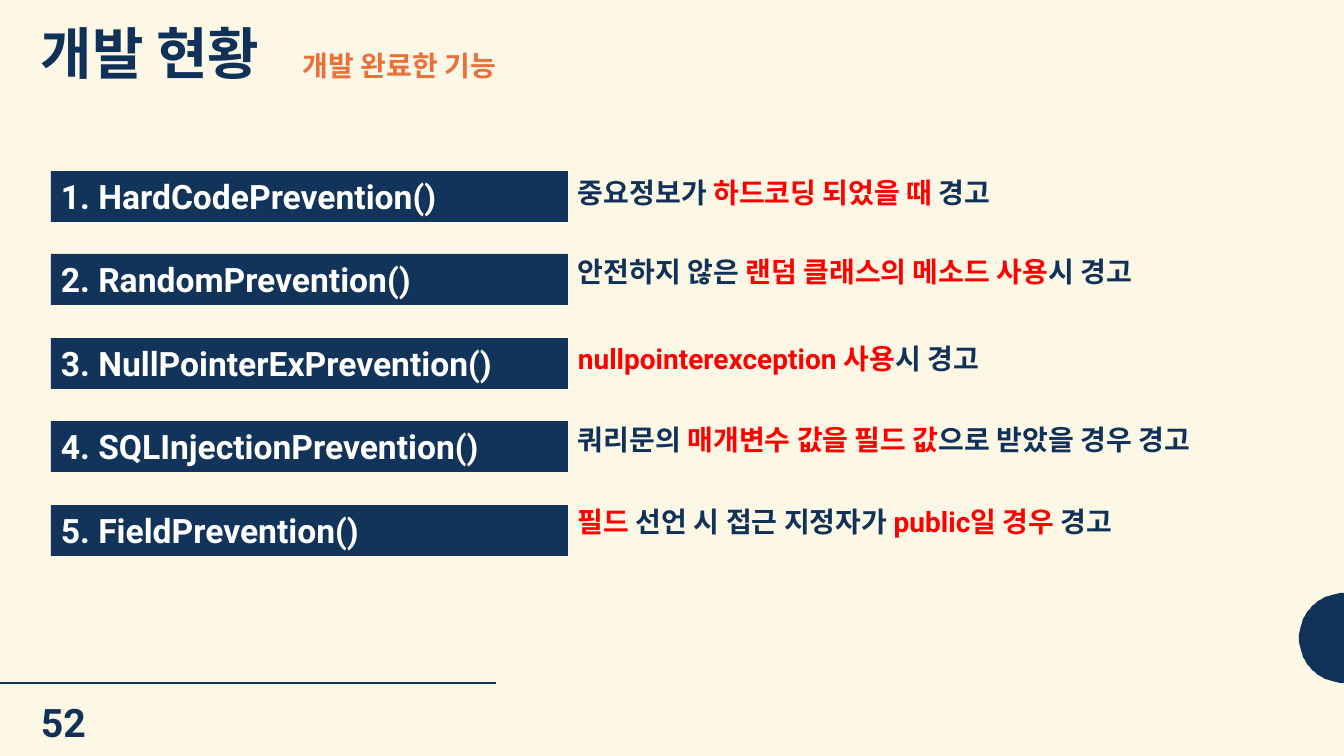
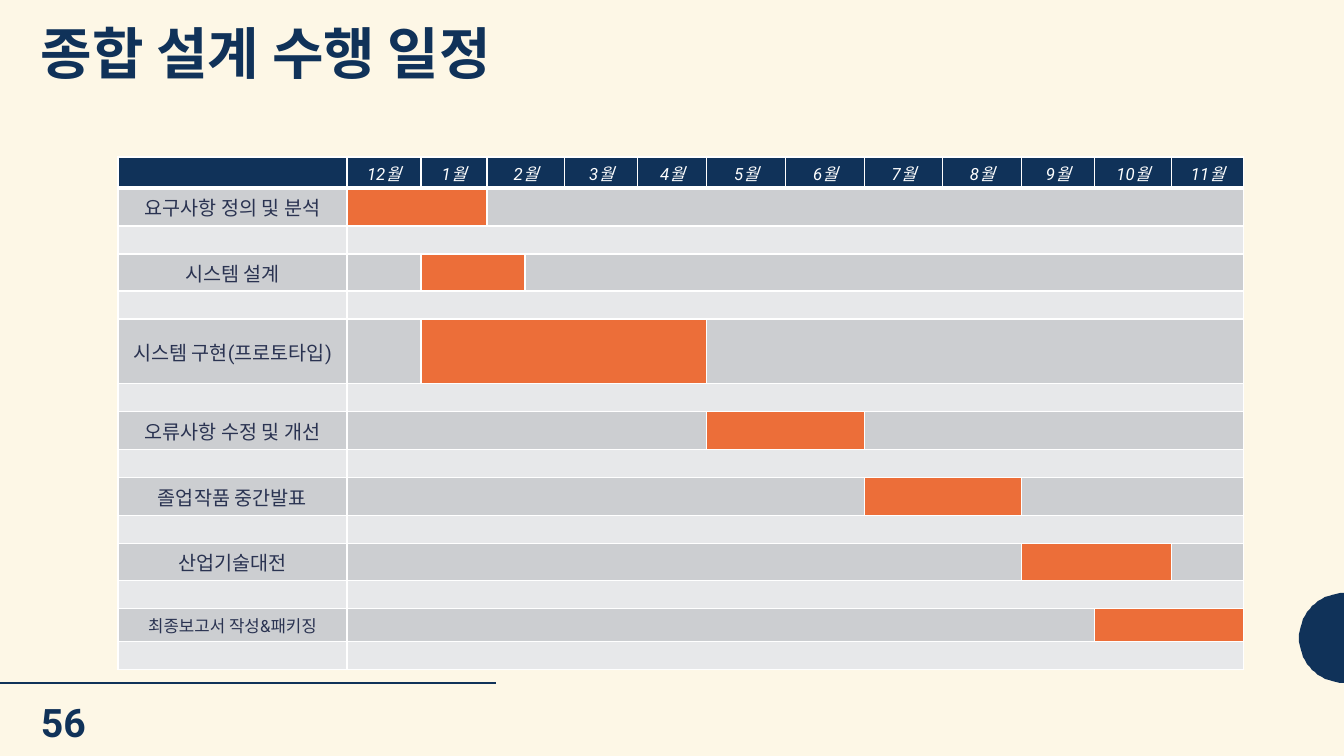
import math
from lxml import etree
from pptx import Presentation
from pptx.dml.color import RGBColor
from pptx.enum.shapes import MSO_CONNECTOR, MSO_SHAPE
from pptx.enum.text import MSO_ANCHOR, PP_ALIGN
from pptx.oxml.ns import qn
from pptx.util import Pt

PX = 9071
STRAIGHT = MSO_CONNECTOR.STRAIGHT
RECTANGLE = MSO_SHAPE.RECTANGLE
TOP, MIDDLE = MSO_ANCHOR.TOP, MSO_ANCHOR.MIDDLE
LEFT, CENTER = PP_ALIGN.LEFT, PP_ALIGN.CENTER
FONT = "Roboto"
CREAM, NAVY, BAR_NAVY, ORANGE = "FDF7E6", "103259", "12345A", "EC6E39"
RED, WHITE, INK = "FF0000", "FFFFFF", "2A3351"
ROW_GRAY, GAP_GRAY = "CCCED1", "E7E8EA"


def paint(fill, color):
    fill.solid()
    fill.fore_color.rgb = RGBColor.from_string(color)


def write(frame, text, size, color=NAVY, bold=True, italic=False,
          align=LEFT, spacing=None, wrap=True):
    frame.word_wrap = wrap
    para = frame.paragraphs[0]
    para.alignment = align
    para.line_spacing = spacing
    for index, part in enumerate(text.split("|")):
        if part:
            span = para.add_run()
            span.text = part
            span.font.name = FONT
            span.font.size = Pt(size)
            span.font.bold = bold
            span.font.italic = italic
            paint(span.font.fill, RED if index % 2 else color)


deck = Presentation()
deck.slide_width, deck.slide_height = 1344 * PX, 756 * PX
paint(deck.slide_master.background.fill, CREAM)

pages = []
for title, number in [("개발 현황", "52"), ("종합 설계 수행 일정", "56")]:
    page = deck.slides.add_slide(deck.slide_layouts[6])
    pages.append(page)

    arc = [(1344 - round(45 * math.sin(math.radians(angle)), 2),
            638 - round(45 * math.cos(math.radians(angle)), 2))
           for angle in range(0, 181, 5)]
    builder = page.shapes.build_freeform(*arc[0], scale=PX)
    builder.add_line_segments(arc[1:], close=True)
    half_disc = builder.convert_to_shape()
    half_disc.shadow.inherit = False
    half_disc.line.fill.background()
    paint(half_disc.fill, NAVY)

    rule = page.shapes.add_connector(STRAIGHT, 0, 683 * PX, 496 * PX, 683 * PX)
    rule.line.width = Pt(2)
    paint(rule.line.fill, NAVY)
    etree.SubElement(rule._element.spPr, qn("a:effectLst"))

    box = page.shapes.add_textbox(31 * PX, 693 * PX, 87 * PX, 57 * PX)
    write(box.text_frame, number, 28)
    box = page.shapes.add_textbox(31 * PX, 21 * PX, 640 * PX, 80 * PX)
    write(box.text_frame, title, 40, spacing=0.9)

status_page, schedule_page = pages

box = status_page.shapes.add_textbox(293 * PX, 44 * PX, 688 * PX, 59 * PX)
write(box.text_frame, "개발 완료한 기능", 20, ORANGE)

features = [
    ("HardCodePrevention()", 171, "중요정보가 |하드코딩 되었을 때| 경고"),
    ("RandomPrevention()", 250, "안전하지 않은 |랜덤 클래스의 메소드 사용|시 경고"),
    ("NullPointerExPrevention()", 337, "|nullpointerexception 사용|시 경고"),
    ("SQLInjectionPrevention()", 418, "쿼리문의 |매개변수 값을 필드 값|으로 받았을 경우 경고"),
    ("FieldPrevention()", 500, "|필드| 선언 시 접근 지정자가 |public일 경우| 경고"),
]
for index, (name, text_top, description) in enumerate(features):
    bar_top = 171 + 167 * index // 2
    bar = status_page.shapes.add_shape(RECTANGLE, 51 * PX, bar_top * PX, 517 * PX, 51 * PX)
    bar.shadow.inherit = False
    bar.line.fill.background()
    paint(bar.fill, BAR_NAVY)
    bar.text_frame.vertical_anchor = TOP
    write(bar.text_frame, f"{index + 1}. {name}", 24, WHITE)
    box = status_page.shapes.add_textbox(568 * PX, text_top * PX, 690 * PX, 44 * PX)
    write(box.text_frame, description, 20, wrap=False)

column_widths = [229, 74, 66, 38, 40, 73, 69, 79, 79, 78, 79, 73, 77, 72]
month_columns = [1, 2, 3, 5, 6, 7, 8, 9, 10, 11, 12, 13]
month_names = [f"{month}월" for month in (12, *range(1, 12))]
tasks = [
    ("요구사항 정의 및 분석", 14, 38, 1, 2),
    ("시스템 설계", 14, 37, 2, 3),
    ("시스템 구현(프로토타입)", 14, 65, 2, 6),
    ("오류사항 수정 및 개선", 14, 38, 7, 8),
    ("졸업작품 중간발표", 14, 38, 9, 10),
    ("산업기술대전", 14, 37, 11, 12),
    ("최종보고서 작성&패키징", 12, 33, 12, 13),
]
row_heights = [31]
for task in tasks:
    row_heights += [task[2], 28]

table = schedule_page.shapes.add_table(
    len(row_heights), len(column_widths), 118 * PX, 157 * PX,
    sum(column_widths) * PX, sum(row_heights) * PX).table
table.first_row = table.horz_banding = False
for column, width in zip(table.columns, column_widths):
    column.width = width * PX
for row, height in zip(table.rows, row_heights):
    row.height = height * PX

for row_index in range(len(row_heights)):
    for column_index in range(len(column_widths)):
        cell = table.cell(row_index, column_index)
        cell.vertical_anchor = MIDDLE
        cell.margin_left = cell.margin_right = 8 * PX
        cell.margin_top = cell.margin_bottom = 4 * PX
        properties = cell._tc.get_or_add_tcPr()
        for side in "LRTB":
            thick = (row_index, side) in [(0, "B"), (1, "T")]
            edge = etree.SubElement(properties, qn(f"a:ln{side}"), w=str(Pt(3 if thick else 1)))
            solid = etree.SubElement(edge, qn("a:solidFill"))
            etree.SubElement(solid, qn("a:srgbClr"), val=WHITE)
        color = NAVY if row_index == 0 else ROW_GRAY if row_index % 2 else GAP_GRAY
        if row_index % 2:
            first, last = tasks[row_index // 2][3:]
            if first <= column_index <= last:
                color = ORANGE
        paint(cell.fill, color)
        ending = etree.SubElement(cell.text_frame.paragraphs[0]._p, qn("a:endParaRPr"))
        ending.set("sz", "1000")

for column_index, name in zip(month_columns, month_names):
    write(table.cell(0, column_index).text_frame, name, 12, WHITE,
          bold=False, italic=True, align=CENTER)
table.cell(0, 3).merge(table.cell(0, 4))

for index, (label, size, height, first, last) in enumerate(tasks):
    task_row = 2 * index + 1
    write(table.cell(task_row, 0).text_frame, label, size, INK, bold=False, align=CENTER)
    for start, end in [(1, first - 1), (first, last), (last + 1, 13)]:
        if start < end:
            table.cell(task_row, start).merge(table.cell(task_row, end))
    table.cell(task_row + 1, 1).merge(table.cell(task_row + 1, 13))

deck.save("out.pptx")
